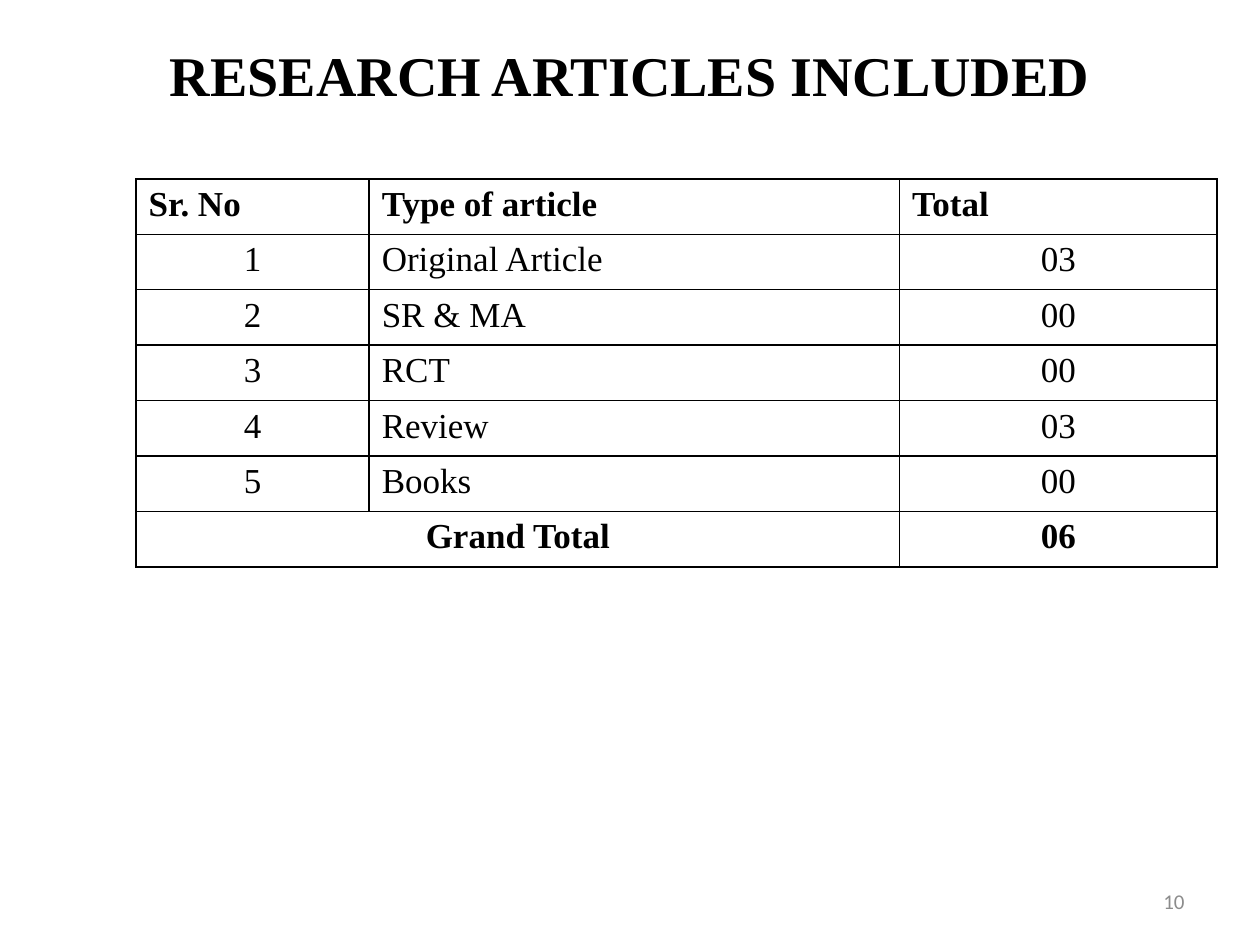
import dataclasses

import pptx
import pptx.dml.color
import pptx.enum.text
import pptx.oxml
import pptx.oxml.ns
import pptx.util

Inches = pptx.util.Inches
Align = pptx.enum.text.PP_ALIGN
Middle = pptx.enum.text.MSO_ANCHOR.MIDDLE


@dataclasses.dataclass(frozen=True)
class TextStyle:
    font: str
    size: int
    color: str
    bold: bool = False


@dataclasses.dataclass(frozen=True)
class Theme:
    title: TextStyle = TextStyle("Times New Roman", 32, "000000", True)
    strong: TextStyle = TextStyle("Times New Roman", 20, "000000", True)
    body: TextStyle = TextStyle("Times New Roman", 20, "000000")
    number: TextStyle = TextStyle("Calibri", 12, "8C8C8C")
    border: str = "000000"
    border_width: int = 1


@dataclasses.dataclass(frozen=True)
class Area:
    """A rectangle in inches."""
    left: float
    top: float
    width: float
    height: float


THEME = Theme()
PAGE = Area(0, 0, 10, 7.5)
TITLE = Area(0.5, 0.25, 9, 0.67)
PAGE_NUMBER = Area(7.17, 6.95, 2.33, 0.4)
COLUMN_WIDTHS = (1.85, 4.21, 2.52)
ROW_HEIGHT = 0.44

HEADINGS = ("Sr. No", "Type of article", "Total ")
ARTICLES = (
    ("Original Article", "03"),
    ("SR & MA", "00"),
    ("RCT", "00"),
    ("Review", "03"),
    ("Books", "00"),
)
GRAND_TOTAL = ("Grand Total", "", "06")


def write(frame, text: str, style: TextStyle, align) -> None:
    para = frame.paragraphs[0]
    para.alignment = align
    span = para.add_run()
    span.text = text
    span.font.name = style.font
    span.font.size = pptx.util.Pt(style.size)
    span.font.bold = style.bold
    span.font.color.rgb = pptx.dml.color.RGBColor.from_string(style.color)


def place(box, area: Area) -> None:
    box.left, box.top = Inches(area.left), Inches(area.top)
    box.width, box.height = Inches(area.width), Inches(area.height)


def frame_cell(cell) -> None:
    """Draw all four borders and leave the cell unfilled."""
    properties = cell._tc.get_or_add_tcPr()
    width = pptx.util.Pt(THEME.border_width)
    for side in ("lnL", "lnR", "lnT", "lnB"):
        properties.append(pptx.oxml.parse_xml(
            f'<a:{side} {pptx.oxml.ns.nsdecls("a")} w="{width}"><a:solidFill>'
            f'<a:srgbClr val="{THEME.border}"/></a:solidFill></a:{side}>'))
    cell.fill.background()


def add_article_table(page, left: float, top: float) -> None:
    numbered = [(str(n), *article) for n, article in enumerate(ARTICLES, 1)]
    rows = [HEADINGS, *numbered, GRAND_TOTAL]
    last = len(rows) - 1
    table = page.shapes.add_table(
        len(rows), len(COLUMN_WIDTHS), Inches(left), Inches(top),
        Inches(sum(COLUMN_WIDTHS)), Inches(ROW_HEIGHT * len(rows))).table
    table.first_row = table.horz_banding = False
    for column, width in zip(table.columns, COLUMN_WIDTHS):
        column.width = Inches(width)
    for row in table.rows:
        row.height = Inches(ROW_HEIGHT)
    table.cell(last, 0).merge(table.cell(last, 1))

    body_aligns = (Align.CENTER, Align.LEFT, Align.CENTER)
    for r, texts in enumerate(rows):
        style = THEME.strong if r in (0, last) else THEME.body
        aligns = (Align.JUSTIFY,) * 3 if r == 0 else body_aligns
        for c, (text, align) in enumerate(zip(texts, aligns)):
            cell = table.cell(r, c)
            frame_cell(cell)
            if not cell.is_spanned:
                write(cell.text_frame, text, style, align)


def main() -> None:
    deck = pptx.Presentation()
    deck.slide_width, deck.slide_height = Inches(PAGE.width), Inches(PAGE.height)
    page = deck.slides.add_slide(deck.slide_layouts.get_by_name("Title Only"))

    # Title
    title = page.shapes.title
    place(title, TITLE)
    title.text_frame.vertical_anchor = Middle
    write(title.text_frame, "RESEARCH ARTICLES INCLUDED", THEME.title, Align.CENTER)

    # Page number
    number = page.shapes.add_textbox(0, 0, 0, 0)
    place(number, PAGE_NUMBER)
    number.text_frame.word_wrap = True
    number.text_frame.vertical_anchor = Middle
    write(number.text_frame, "10", THEME.number, Align.RIGHT)

    # Articles by type
    add_article_table(page, left=1.08, top=1.42)

    deck.save("out.pptx")


if __name__ == "__main__":
    main()
